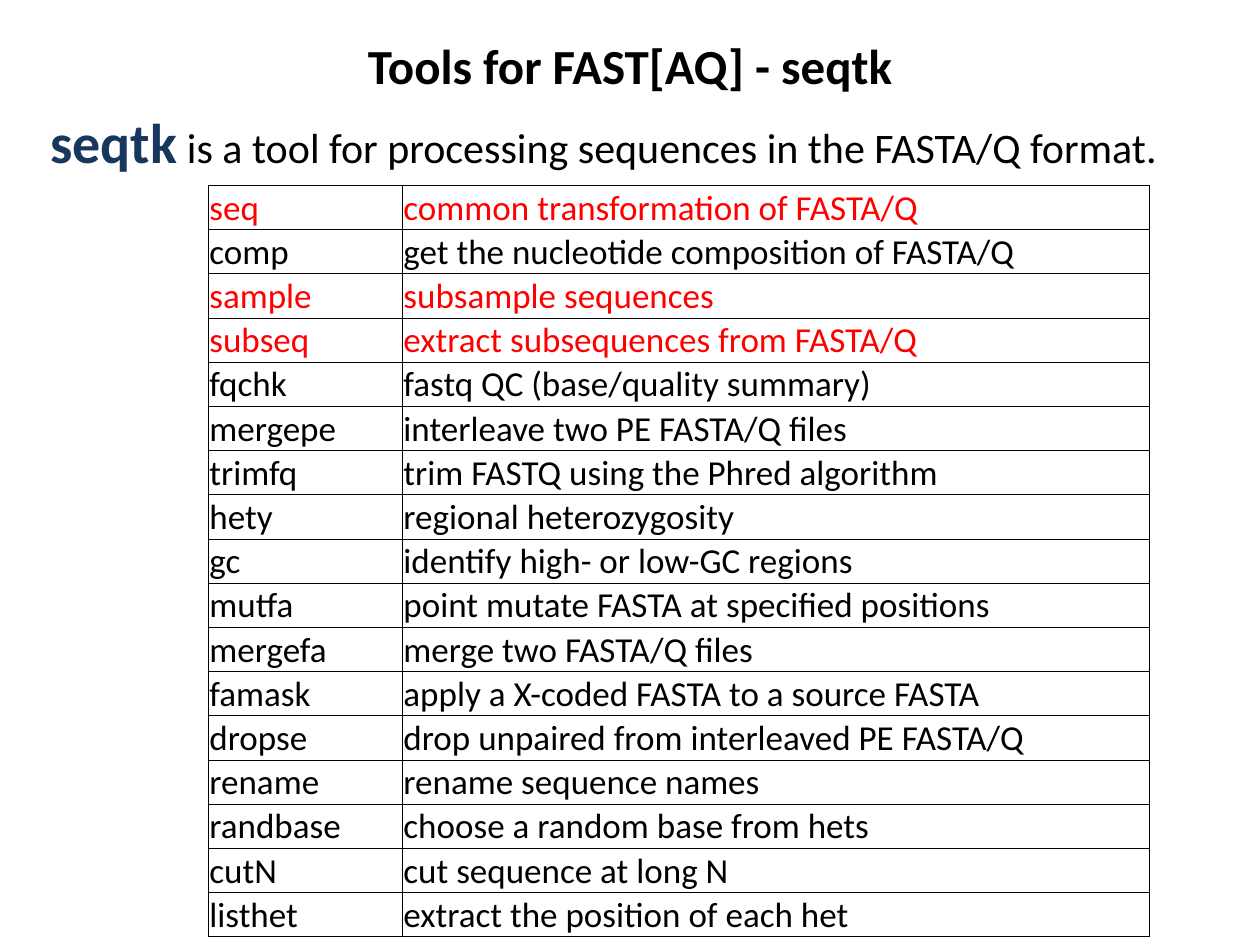
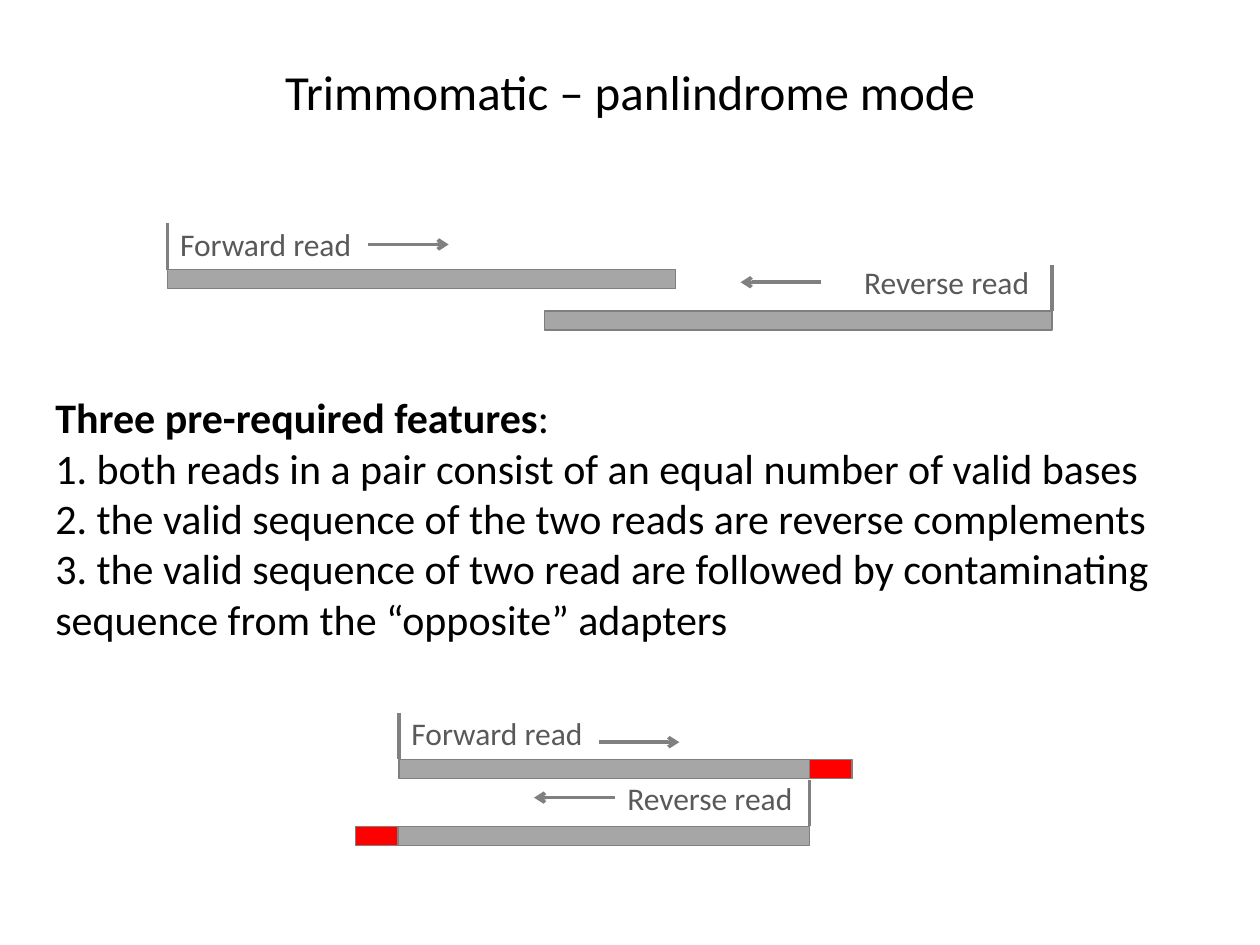
"""Build two slides on sequence tools: seqtk commands and Trimmomatic palindrome mode."""
from lxml.etree import SubElement
from pptx import Presentation
from pptx.dml.color import RGBColor
from pptx.enum.shapes import MSO_CONNECTOR as Connector, MSO_SHAPE as Shape
from pptx.enum.text import MSO_ANCHOR as Anchor, MSO_AUTO_SIZE as AutoSize, PP_ALIGN as Align
from pptx.oxml.ns import qn
from pptx.util import Pt

FONT = "Calibri"
COLORS = {"text": "000000", "tool": "17375E", "highlight": "FF0000", "bar": "A6A6A6",
          "bar_edge": "7F7F7F", "mark": "808080", "label": "595959"}

SEQTK_TITLE = "Tools for FAST[AQ] - seqtk"
SEQTK_INTRO = ("seqtk", " is a tool for processing sequences in the FASTA/Q format.")
COMMANDS = [
    ("seq", "common transformation of FASTA/Q"),
    ("comp", "get the nucleotide composition of FASTA/Q"),
    ("sample", "subsample sequences"),
    ("subseq", "extract subsequences from FASTA/Q"),
    ("fqchk", "fastq QC (base/quality summary)"),
    ("mergepe", "interleave two PE FASTA/Q files"),
    ("trimfq", "trim FASTQ using the Phred algorithm"),
    ("hety", "regional heterozygosity"),
    ("gc", "identify high- or low-GC regions"),
    ("mutfa", "point mutate FASTA at specified positions"),
    ("mergefa", "merge two FASTA/Q files"),
    ("famask", "apply a X-coded FASTA to a source FASTA"),
    ("dropse", "drop unpaired from interleaved PE FASTA/Q"),
    ("rename", "rename sequence names"),
    ("randbase", "choose a random base from hets"),
    ("cutN", "cut sequence at long N"),
    ("listhet", "extract the position of each het"),
]
HIGHLIGHTED = {"seq", "sample", "subseq"}
COLUMN_WIDTHS = (110.9, 427)
ROW_HEIGHT = 25

TRIM_TITLE = "Trimmomatic – panlindrome mode"
FEATURES_HEADING = ("Three pre-required features", ":")
FEATURES = [
    "1. both reads in a pair consist of an equal number of valid bases",
    "2. the valid sequence of the two reads are reverse complements",
    "3. the valid sequence of two read are followed by contaminating sequence "
    "from the “opposite” adapters",
]
READS = [
    {"forward": True, "bar": (95.8, 154.1, 290.2), "label": (95.8, 125.3),
     "arrow": (210.2, 139.7), "adapter": False},
    {"forward": False, "bar": (311, 177.8, 290.2), "label": (486.7, 146.9),
     "arrow": (469.4, 161.3), "adapter": False},
    {"forward": True, "bar": (228, 434, 234.5), "label": (228, 404.6),
     "arrow": (342, 424.1), "adapter": True},
    {"forward": False, "bar": (227.5, 472.3, 235), "label": (351.4, 441.4),
     "arrow": (351.4, 455.8), "adapter": True},
]
BAR_HEIGHT, TICK_HEIGHT, ARROW_LENGTH, ADAPTER_WIDTH = 10.8, 26.6, 46.2, 24.5


def rgb(color):
    return RGBColor.from_string(COLORS[color])


def style(font, size, color="text", bold=False):
    font.name, font.size, font.bold = FONT, Pt(size), bold
    font.color.rgb = rgb(color)


def place(shape, left, top, width, height):
    shape.left, shape.top, shape.width, shape.height = map(Pt, (left, top, width, height))


def add_titled_slide(deck, layout, title, top, bold):
    slide = deck.slides.add_slide(deck.slide_layouts[layout])
    heading = slide.shapes.title
    place(heading, 36, top, 648, 61.2)
    heading.text_frame.text = title
    heading.text_frame.auto_size = AutoSize.NONE
    heading.text_frame.vertical_anchor = Anchor.MIDDLE
    paragraph = heading.text_frame.paragraphs[0]
    paragraph.alignment = Align.CENTER
    style(paragraph.font, 28, bold=bold)
    return slide


def add_intro(slide):
    intro = slide.placeholders[1]
    place(intro, 21.6, 57.6, 680.4, 41.8)
    intro.text_frame.auto_size = AutoSize.NONE
    paragraph = intro.text_frame.paragraphs[0]
    properties = paragraph._p.get_or_add_pPr()
    properties.set("marL", "0")
    properties.set("indent", "0")
    SubElement(properties, qn("a:buNone"))
    paragraph.space_before = Pt(0)
    for words, look in zip(SEQTK_INTRO, ((32, "tool", True), (24, "text", False))):
        run = paragraph.add_run()
        run.text = words
        style(run.font, *look)


def border_cell(cell):
    properties = cell._tc.get_or_add_tcPr()
    for side in ("lnL", "lnR", "lnT", "lnB"):
        edge = SubElement(properties, qn(f"a:{side}"), w=str(Pt(0.5)))
        SubElement(SubElement(edge, qn("a:solidFill")), qn("a:srgbClr"), val=COLORS["text"])
    cell.fill.background()


def add_commands(slide):
    commands = slide.shapes.add_table(
        len(COMMANDS), len(COLUMN_WIDTHS), Pt(118.9), Pt(106),
        Pt(sum(COLUMN_WIDTHS)), Pt(ROW_HEIGHT * len(COMMANDS))).table
    commands.first_row = commands.horz_banding = False
    for column, width in zip(commands.columns, COLUMN_WIDTHS):
        column.width = Pt(width)
    for row, entry in zip(commands.rows, COMMANDS):
        row.height = Pt(ROW_HEIGHT)
        for cell, words in zip(row.cells, entry):
            cell.text = words
            cell.vertical_anchor = Anchor.BOTTOM
            cell.margin_left = cell.margin_right = cell.margin_top = Pt(0.75)
            cell.margin_bottom = Pt(0)
            style(cell.text_frame.paragraphs[0].font, 20,
                  "highlight" if entry[0] in HIGHLIGHTED else "text")
            border_cell(cell)


def add_features(slide):
    frame = slide.shapes.add_textbox(Pt(24.5), Pt(220.3), Pt(673.2), Pt(152.6)).text_frame
    frame.word_wrap = True
    frame.auto_size = AutoSize.SHAPE_TO_FIT_TEXT
    for words, bold in zip(FEATURES_HEADING, (True, False)):
        run = frame.paragraphs[0].add_run()
        run.text = words
        style(run.font, 24, bold=bold)
    for feature in FEATURES:
        paragraph = frame.add_paragraph()
        paragraph.text = feature
        style(paragraph.font, 24)


def add_bar(slide, left, top, width, fill, edge):
    bar = slide.shapes.add_shape(Shape.RECTANGLE, Pt(left), Pt(top), Pt(width), Pt(BAR_HEIGHT))
    bar.shadow.inherit = False
    bar.fill.solid()
    bar.fill.fore_color.rgb = rgb(fill)
    bar.line.color.rgb = rgb(edge)
    bar.line.width = Pt(0.75)


def add_mark(slide, start, end, arrow=False):
    mark = slide.shapes.add_connector(Connector.STRAIGHT, *map(Pt, (*start, *end)))
    mark.line.color.rgb = rgb("mark")
    mark.line.width = Pt(2)
    properties = mark._element.spPr
    if arrow:
        SubElement(properties.find(qn("a:ln")), qn("a:tailEnd"), type="arrow")
    SubElement(properties, qn("a:effectLst"))


def add_read(slide, read):
    forward = read["forward"]
    left, top, width = read["bar"]
    right = left + width
    outer = left if forward else right
    add_bar(slide, left, top, width, "bar", "bar_edge")

    label = slide.shapes.add_textbox(*map(Pt, read["label"]),
                                     Pt(114.5 if forward else 110.9), Pt(29)).text_frame
    label.word_wrap = False
    label.auto_size = AutoSize.SHAPE_TO_FIT_TEXT
    label.text = "Forward read" if forward else "Reverse read"
    style(label.paragraphs[0].font, 18, "label")

    add_mark(slide, (outer, top - TICK_HEIGHT), (outer, top))
    start, level = read["arrow"]
    end = start + (ARROW_LENGTH if forward else -ARROW_LENGTH)
    add_mark(slide, (start, level), (end, level), arrow=True)
    if read["adapter"]:
        add_bar(slide, right if forward else left - ADAPTER_WIDTH, top, ADAPTER_WIDTH,
                "highlight", "mark")


def main():
    deck = Presentation()
    deck.slide_width, deck.slide_height = Pt(720), Pt(540)

    seqtk = add_titled_slide(deck, 1, SEQTK_TITLE, 6.5, True)
    add_intro(seqtk)
    add_commands(seqtk)

    trimmomatic = add_titled_slide(deck, 5, TRIM_TITLE, 21.6, False)
    add_features(trimmomatic)
    for read in READS:
        add_read(trimmomatic, read)

    deck.save("out.pptx")


if __name__ == "__main__":
    main()
